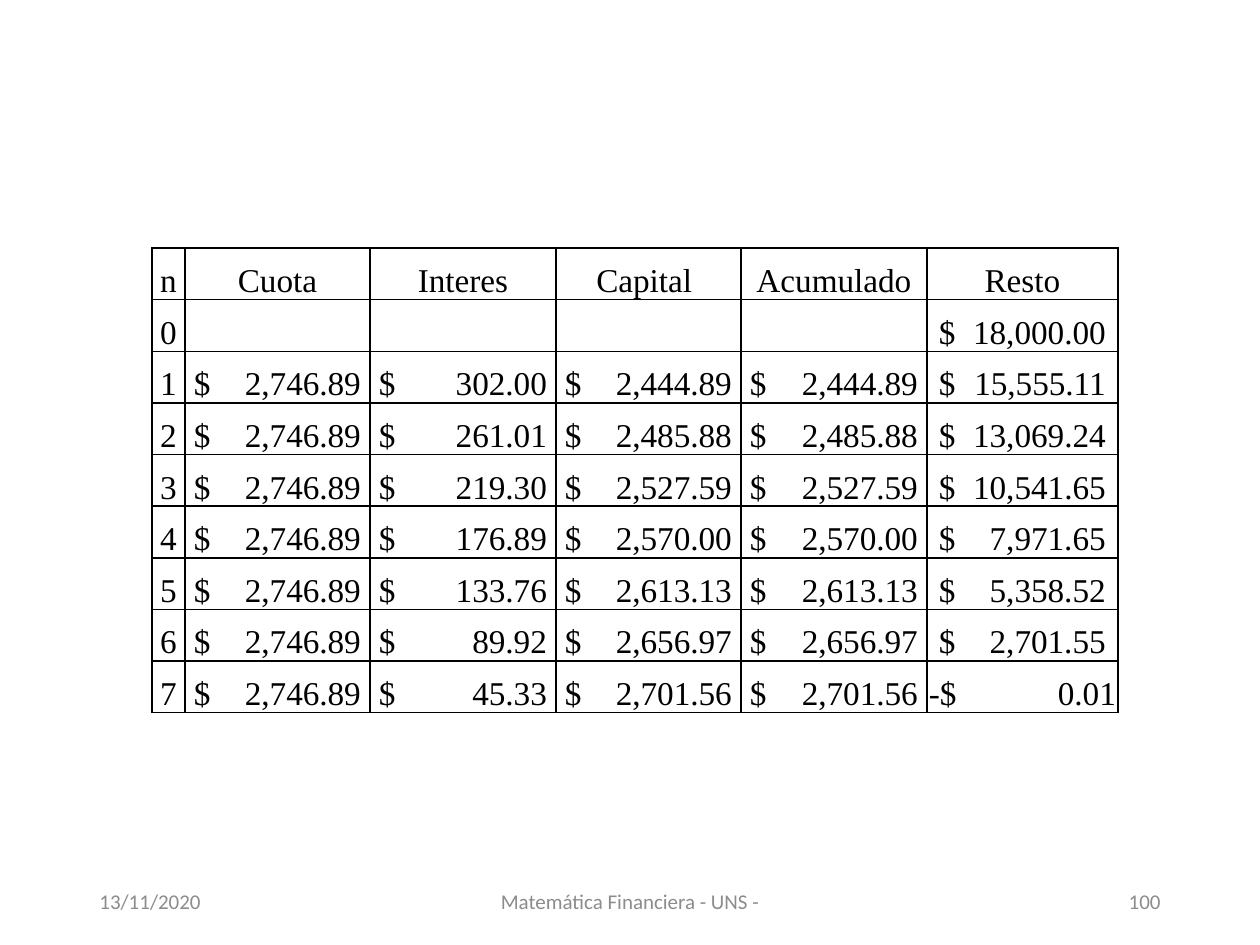
import pptx
import pptx.util
import pptx.oxml
import pptx.oxml.ns
import lxml.etree
from pptx.dml.color import RGBColor
from pptx.enum.text import MSO_ANCHOR, PP_ALIGN

PX = 914400 // 126
COLORS = {"ink": "000000", "footer": "8C8C8C"}
TABLE_FONT, FOOTER_FONT = "Times New Roman", "Calibri"

HEADERS = ["n", "Cuota", "Interes", "Capital ", "Acumulado", "Resto"]
ROWS = [
    ("0", "", "", "", "", "18,000.00"),
    ("1", "2,746.89", "302.00", "2,444.89", "2,444.89", "15,555.11"),
    ("2", "2,746.89", "261.01", "2,485.88", "2,485.88", "13,069.24"),
    ("3", "2,746.89", "219.30", "2,527.59", "2,527.59", "10,541.65"),
    ("4", "2,746.89", "176.89", "2,570.00", "2,570.00", "7,971.65"),
    ("5", "2,746.89", "133.76", "2,613.13", "2,613.13", "5,358.52"),
    ("6", "2,746.89", "89.92", "2,656.97", "2,656.97", "2,701.55"),
    ("7", "2,746.89", "45.33", "2,701.56", "2,701.56", "-0.01"),
]
COL_WIDTHS = [33, 185, 186, 185, 186, 191]
MONEY_INSETS = [0, 9, 9, 9, 9, 12]
NEGATIVE_INSET = 2
TABLE_LEFT, TABLE_TOP, TABLE_HEIGHT = 152, 248, 465

FOOTERS = [
    ("13/11/2020", 87, 283, PP_ALIGN.LEFT),
    ("Matemática Financiera - UNS -", 417, 426, PP_ALIGN.CENTER),
    ("100", 890, 283, PP_ALIGN.RIGHT),
]
FOOTER_TOP, FOOTER_HEIGHT = 876, 50


def add_run(p, text, font, size, color):
    r = p.add_run()
    r.text = text
    r.font.name = font
    r.font.size = pptx.util.Pt(size)
    r.font.color.rgb = RGBColor.from_string(COLORS[color])


def set_borders(cell):
    tc_pr = cell._tc.get_or_add_tcPr()
    ns = pptx.oxml.ns.nsdecls("a")
    for i, side in enumerate(("lnL", "lnR", "lnT", "lnB")):
        tc_pr.insert(i, pptx.oxml.parse_xml(
            f'<a:{side} {ns} w="12700"><a:solidFill>'
            f'<a:srgbClr val="{COLORS["ink"]}"/></a:solidFill></a:{side}>'))


def add_right_tab(p, position):
    p_pr = p._p.get_or_add_pPr()
    tabs = lxml.etree.SubElement(p_pr, pptx.oxml.ns.qn("a:tabLst"))
    lxml.etree.SubElement(tabs, pptx.oxml.ns.qn("a:tab"),
                          pos=str(position * PX), algn="r")


def fill_cell(cell, text, col, is_money):
    """Centre labels; set amounts with the sign at left and the number at right."""
    cell.fill.background()
    set_borders(cell)
    cell.vertical_anchor = MSO_ANCHOR.BOTTOM
    cell.margin_left = cell.margin_right = cell.margin_top = PX
    cell.margin_bottom = 0
    p = cell.text_frame.paragraphs[0]
    if not text:
        return
    p.alignment = PP_ALIGN.CENTER
    if is_money:
        negative = text.startswith("-")
        inset = NEGATIVE_INSET if negative else MONEY_INSETS[col]
        p.alignment = PP_ALIGN.LEFT
        cell.margin_left = inset * PX
        add_right_tab(p, COL_WIDTHS[col] - 2 * inset)
        text = ("-$" if negative else "$") + "\t" + text.lstrip("-")
    add_run(p, text, TABLE_FONT, 19, "ink")


def add_schedule(s):
    data = [HEADERS] + ROWS
    table = s.shapes.add_table(
        len(data), len(HEADERS), TABLE_LEFT * PX, TABLE_TOP * PX,
        sum(COL_WIDTHS) * PX, TABLE_HEIGHT * PX).table
    table.first_row = table.horz_banding = False
    for column, width in zip(table.columns, COL_WIDTHS):
        column.width = width * PX
    for i, values in enumerate(data):
        table.rows[i].height = TABLE_HEIGHT * PX // len(data)
        for j, text in enumerate(values):
            fill_cell(table.cell(i, j), text, j, i > 0 and j > 0)


def add_footers(s):
    for text, left, width, alignment in FOOTERS:
        sp = s.shapes.add_textbox(left * PX, FOOTER_TOP * PX,
                                  width * PX, FOOTER_HEIGHT * PX)
        tf = sp.text_frame
        tf.word_wrap = True
        tf.vertical_anchor = MSO_ANCHOR.MIDDLE
        p = tf.paragraphs[0]
        p.alignment = alignment
        add_run(p, text, FOOTER_FONT, 12, "footer")


def main():
    prs = pptx.Presentation()
    prs.slide_width = pptx.util.Inches(10)
    prs.slide_height = pptx.util.Inches(7.5)
    s = prs.slides.add_slide(prs.slide_layouts[6])
    add_footers(s)
    add_schedule(s)
    prs.save("out.pptx")


if __name__ == "__main__":
    main()
